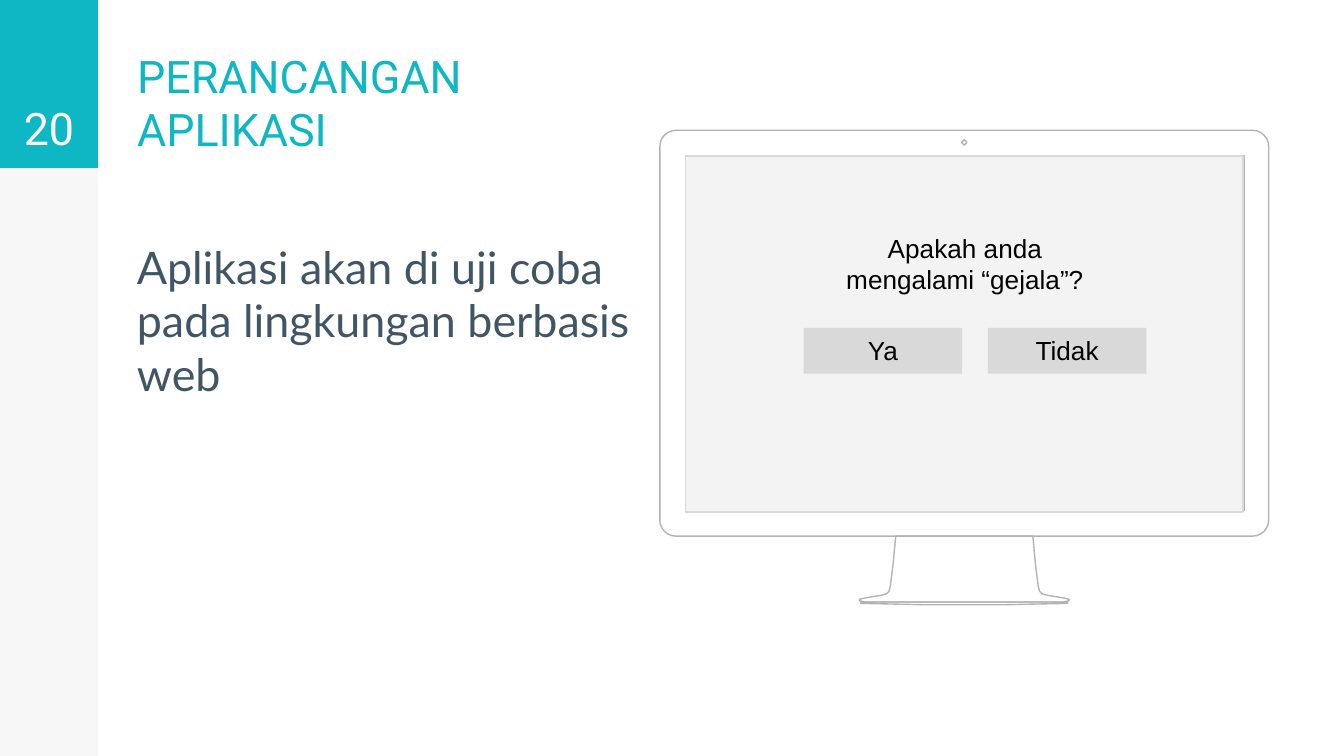
from dataclasses import dataclass
from math import cos, pi, sin

from pptx import Presentation
from pptx.dml.color import RGBColor
from pptx.enum.shapes import MSO_SHAPE as Shape
from pptx.enum.text import MSO_ANCHOR as Anchor, MSO_AUTO_SIZE as AutoSize, PP_ALIGN as Align
from pptx.util import Inches, Pt


@dataclass(frozen=True)
class Theme:
    accent: str = "0DB7C4"
    sidebar: str = "F7F7F7"
    white: str = "FFFFFF"
    body: str = "415665"
    black: str = "000000"
    frame: str = "B3B3B3"
    screen: str = "F3F3F3"
    button: str = "D9D9D9"
    large: int = 24
    small: int = 14
    hairline: float = 0.75


THEME = Theme()
SLIDE_WIDTH = 10
SLIDE_HEIGHT = SLIDE_WIDTH * 9 / 16
SIDEBAR_WIDTH, HEADER_HEIGHT = 0.73, 1.25
TEXT_LEFT, TEXT_WIDTH = 0.92, 3.89
MONITOR_LEFT, MONITOR_RIGHT = 4.91, 9.44
MONITOR_CENTER = (MONITOR_LEFT + MONITOR_RIGHT) / 2


def paint(shape, fill, line=None):
    shape.shadow.inherit = False
    shape.fill.solid()
    shape.fill.fore_color.rgb = RGBColor.from_string(fill)
    if line:
        shape.line.color.rgb = RGBColor.from_string(line)
        shape.line.width = Pt(THEME.hairline)
    else:
        shape.line.fill.background()


def add_box(slide, left, top, width, height, fill, line=None):
    box = slide.shapes.add_shape(
        Shape.RECTANGLE, Inches(left), Inches(top), Inches(width), Inches(height))
    paint(box, fill, line)
    return box


def add_text_area(slide, left, top, width, height):
    return slide.shapes.add_textbox(
        Inches(left), Inches(top), Inches(width), Inches(height))


def write(shape, text, *, font, size, color, align=Align.LEFT,
          anchor=Anchor.TOP, inset=0.1):
    """Fill a shape with one paragraph; inset is the top and bottom margin."""
    frame = shape.text_frame
    frame.word_wrap = True
    frame.auto_size = AutoSize.NONE
    frame.vertical_anchor = anchor
    frame.margin_left = frame.margin_right = Inches(0.1)
    frame.margin_top = frame.margin_bottom = Inches(inset)
    frame.text = text
    paragraph = frame.paragraphs[0]
    paragraph.alignment = align
    paragraph.font.name = font
    paragraph.font.size = Pt(size)
    paragraph.font.color.rgb = RGBColor.from_string(color)


def rounded_outline(left, top, right, bottom, radius=0.0, steps=6):
    """Points clockwise around a rectangle, starting at its left side."""
    corners = [(left + radius, top + radius), (right - radius, top + radius),
               (right - radius, bottom - radius), (left + radius, bottom - radius)]
    points = []
    for corner, (x, y) in enumerate(corners):
        for step in range(steps + 1 if radius else 1):
            angle = pi + (corner + step / steps) * pi / 2
            points.append((x + radius * cos(angle), y + radius * sin(angle)))
    return points


def mirrored_outline(half):
    """Close an outline given as (distance from the monitor's center, y)."""
    return ([(MONITOR_CENTER - dx, y) for dx, y in half]
            + [(MONITOR_CENTER + dx, y) for dx, y in reversed(half)])


def add_monitor(slide):
    camera = mirrored_outline([(0, 1.04), (0.01, 1.05), (0.02, 1.06), (0.01, 1.07), (0, 1.08)])
    opening = rounded_outline(5.1, 1.16, 9.26, 3.8)
    casing = rounded_outline(MONITOR_LEFT, 0.97, MONITOR_RIGHT, 3.99, 0.12)
    stand = mirrored_outline([
        (0.51, 3.99), (0.53, 4.2), (0.55, 4.36), (0.56, 4.4), (0.58, 4.42),
        (0.62, 4.43), (0.74, 4.45), (0.78, 4.46), (0.78, 4.47), (0.74, 4.48)])
    foot = mirrored_outline([(0.77, 4.48), (0.77, 4.49), (0.3, 4.5)])

    builder = slide.shapes.build_freeform()
    for outline in (camera, opening, casing, stand, foot):
        start, *rest = [(Inches(x), Inches(y)) for x, y in outline]
        builder.move_to(*start)
        builder.add_line_segments(rest, close=True)
    paint(builder.convert_to_shape(), THEME.white, THEME.frame)
    add_box(slide, 5.1, 1.16, 4.15, 2.65, THEME.screen, THEME.button)


def add_dialog(slide):
    style = dict(font="Arial", size=THEME.small, color=THEME.black,
                 align=Align.CENTER, inset=0.05)
    question = add_text_area(slide, 6.15, 1.68, 2.06, 0.57)
    write(question, "Apakah anda mengalami “gejala”?", **style)
    for index, answer in enumerate(("Ya", "Tidak")):
        button = add_box(slide, 5.98 + index * 1.37, 2.44, 1.18, 0.34, THEME.button)
        write(button, answer, **style)


def add_title(slide, text):
    title = slide.shapes.title
    title.left, title.top = Inches(TEXT_LEFT), Inches(0.01)
    title.width, title.height = Inches(TEXT_WIDTH), Inches(HEADER_HEIGHT)
    write(title, text, font="Roboto", size=THEME.large, color=THEME.accent,
          anchor=Anchor.BOTTOM)


def main():
    presentation = Presentation()
    presentation.slide_width = Inches(SLIDE_WIDTH)
    presentation.slide_height = Inches(SLIDE_HEIGHT)
    slide = presentation.slides.add_slide(presentation.slide_layouts[5])

    add_box(slide, 0, 0, SIDEBAR_WIDTH, SLIDE_HEIGHT, THEME.sidebar)
    add_box(slide, 0, 0, SIDEBAR_WIDTH, HEADER_HEIGHT, THEME.accent)
    add_monitor(slide)

    page_number = add_text_area(slide, 0, 0, SIDEBAR_WIDTH, HEADER_HEIGHT)
    write(page_number, "20", font="Roboto", size=THEME.large, color=THEME.white,
          align=Align.CENTER, anchor=Anchor.BOTTOM)
    add_title(slide, "PERANCANGAN APLIKASI")
    description = add_text_area(slide, TEXT_LEFT, 1.68, TEXT_WIDTH, 3.71)
    write(description, "Aplikasi akan di uji coba pada lingkungan berbasis web",
          font="Lato", size=THEME.large, color=THEME.body)
    add_dialog(slide)

    presentation.save("out.pptx")


if __name__ == "__main__":
    main()
